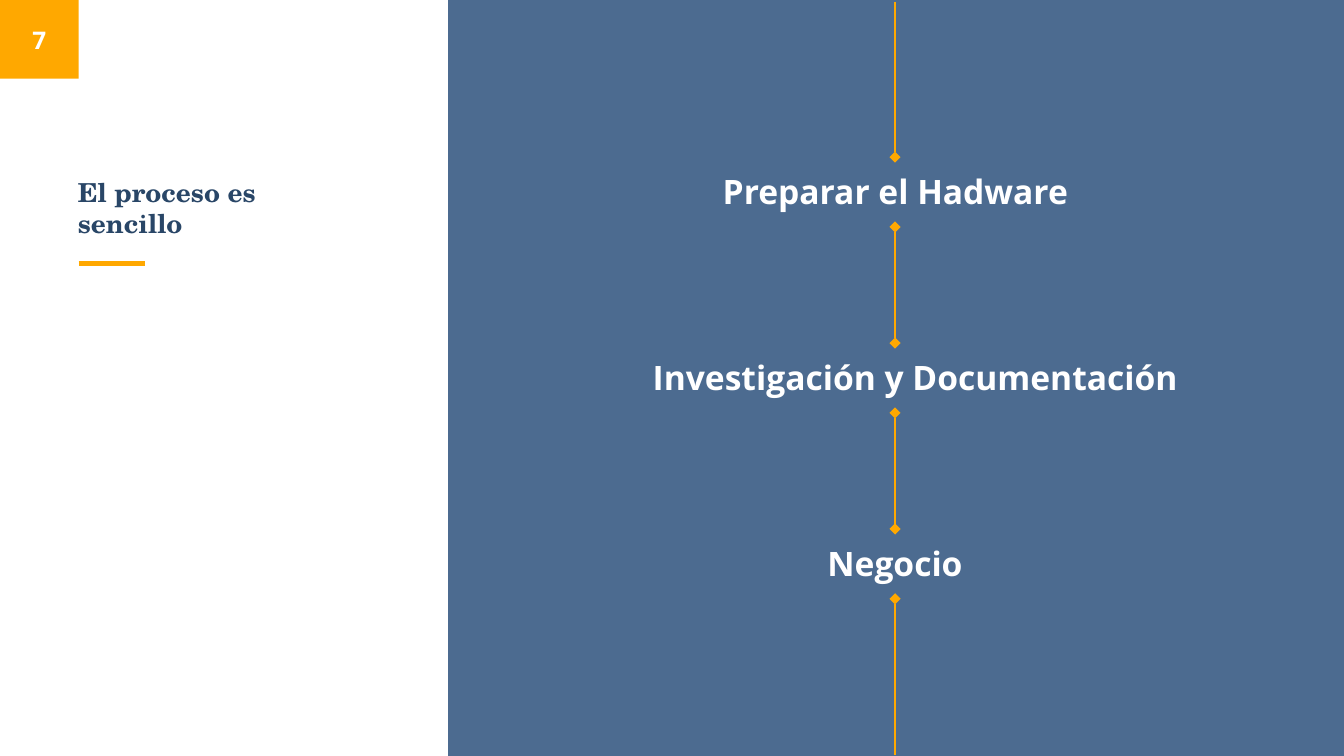
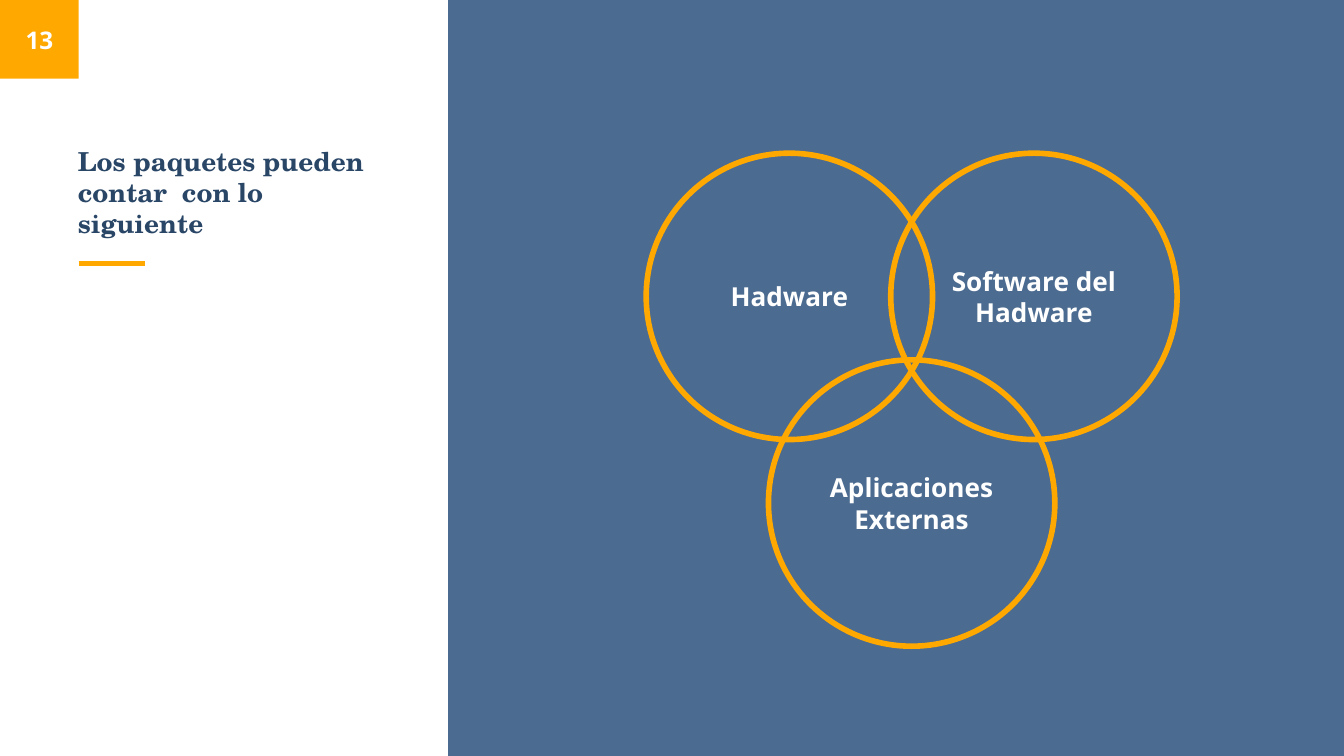
from dataclasses import dataclass

from lxml import etree
from pptx import Presentation
from pptx.dml import color as c
from pptx.enum import shapes, text
from pptx.oxml import ns
from pptx.util import Pt


@dataclass(frozen=True)
class Theme:
    navy: c.RGBColor = c.RGBColor(0x29, 0x46, 0x67)
    blue: c.RGBColor = c.RGBColor(0x32, 0x56, 0x80)
    amber: c.RGBColor = c.RGBColor(0xFF, 0xA8, 0x00)
    white: c.RGBColor = c.RGBColor(0xFF, 0xFF, 0xFF)
    title_font: str = "TeX Gyre Schola"
    body_font: str = "Open Sans"
    number_size: int = 13
    title_size: int = 14
    circle_size: int = 14
    step_size: int = 18
    panel_alpha: int = 87000


T = Theme()
SHAPE, ANCHOR, ALIGN = shapes.MSO_SHAPE, text.MSO_ANCHOR, text.PP_ALIGN


def write(sp, words, size, font=T.body_font, color=T.white,
          align=ALIGN.CENTER, anchor=ANCHOR.MIDDLE):
    tf = sp.text_frame
    tf.word_wrap = True
    tf.vertical_anchor = anchor
    tf.margin_left = tf.margin_right = tf.margin_top = tf.margin_bottom = Pt(7.2)
    p = tf.paragraphs[0]
    p.alignment = align
    r = p.add_run()
    r.text = words
    r.font.name, r.font.size, r.font.bold = font, Pt(size), True
    r.font.color.rgb = color


def add_line(s, x1, y1, x2, y2, width, ends=()):
    """Amber line; ends names the tips (headEnd, tailEnd) that carry a diamond."""
    ln = s.shapes.add_connector(shapes.MSO_CONNECTOR.STRAIGHT,
                                Pt(x1), Pt(y1), Pt(x2), Pt(y2))
    ln.line.color.rgb, ln.line.width = T.amber, Pt(width)
    for end in ends:
        etree.SubElement(ln.line._get_or_add_ln(), ns.qn("a:" + end), type="diamond")
    etree.SubElement(ln._element.spPr, ns.qn("a:effectLst"))


prs = Presentation()
prs.slide_width, prs.slide_height = Pt(720), Pt(405)

# Frame shared by both slides: panel, title rule, number tag, title
slides = []
for number, title, title_w in (
    ("7", "El proceso es sencillo", 169.2),
    ("13", "Los paquetes pueden contar  con lo siguiente", 183.6),
):
    s = prs.slides.add_slide(prs.slide_layouts[6])
    slides.append(s)
    for x, w, h, fill in ((240, 480, 405, T.blue), (0, 42.2, 42.2, T.amber)):
        sp = s.shapes.add_shape(SHAPE.RECTANGLE, Pt(x), 0, Pt(w), Pt(h))
        sp.shadow.inherit = False
        sp.fill.solid()
        sp.fill.fore_color.rgb = fill
        sp.line.fill.background()
        if fill == T.blue:
            rgb = sp._element.spPr.find(".//" + ns.qn("a:srgbClr"))
            etree.SubElement(rgb, ns.qn("a:alpha"), val=str(T.panel_alpha))
    write(sp, number, T.number_size)
    add_line(s, 42.2, 141.2, 77.8, 141.2, 2.25)
    sp = s.shapes.add_textbox(Pt(34.6), Pt(82.1), Pt(title_w), Pt(53.3))
    write(sp, title, T.title_size, T.title_font, T.navy, ALIGN.LEFT, ANCHOR.BOTTOM)

process, packages = slides

# Process: three steps at an equal pitch, joined by a vertical line
AXIS, FIRST_TOP, PITCH, STEP_H = 479.5, 84.2, 99.6, 37.4
steps = (
    ("Preparar el Hadware ", 362.9, 238.3),
    ("Investigación y Documentación", 311.8, 357.1),
    ("Negocio", 390.2, 178.6),
)
tops = [FIRST_TOP + i * PITCH for i in range(len(steps))]
starts = [0.9] + [y + STEP_H for y in tops]
stops = tops + [404.6]
for i, (y1, y2) in enumerate(zip(starts, stops)):
    ends = (["headEnd"] if i > 0 else []) + (["tailEnd"] if i < len(steps) else [])
    add_line(process, AXIS, y1, AXIS, y2, 1.5, ends)
for (label, x, w), y in zip(steps, tops):
    sp = process.shapes.add_textbox(Pt(x), Pt(y), Pt(w), Pt(STEP_H))
    write(sp, label, T.step_size, anchor=ANCHOR.TOP)

# Packages: three overlapping circles, the middle one lower
LEFT, SHIFT, DIAMETER, UPPER, LOWER = 346.2, 65.5, 153.4, 82.1, 192.8
for i, (label, y) in enumerate((
    ("Hadware", UPPER),
    ("Aplicaciones Externas", LOWER),
    ("Software del Hadware", UPPER),
)):
    sp = packages.shapes.add_shape(SHAPE.OVAL, Pt(LEFT + i * SHIFT), Pt(y),
                                   Pt(DIAMETER), Pt(DIAMETER))
    sp.shadow.inherit = False
    sp.fill.background()
    sp.line.color.rgb, sp.line.width = T.amber, Pt(3)
    write(sp, label, T.circle_size)

prs.save("out.pptx")
